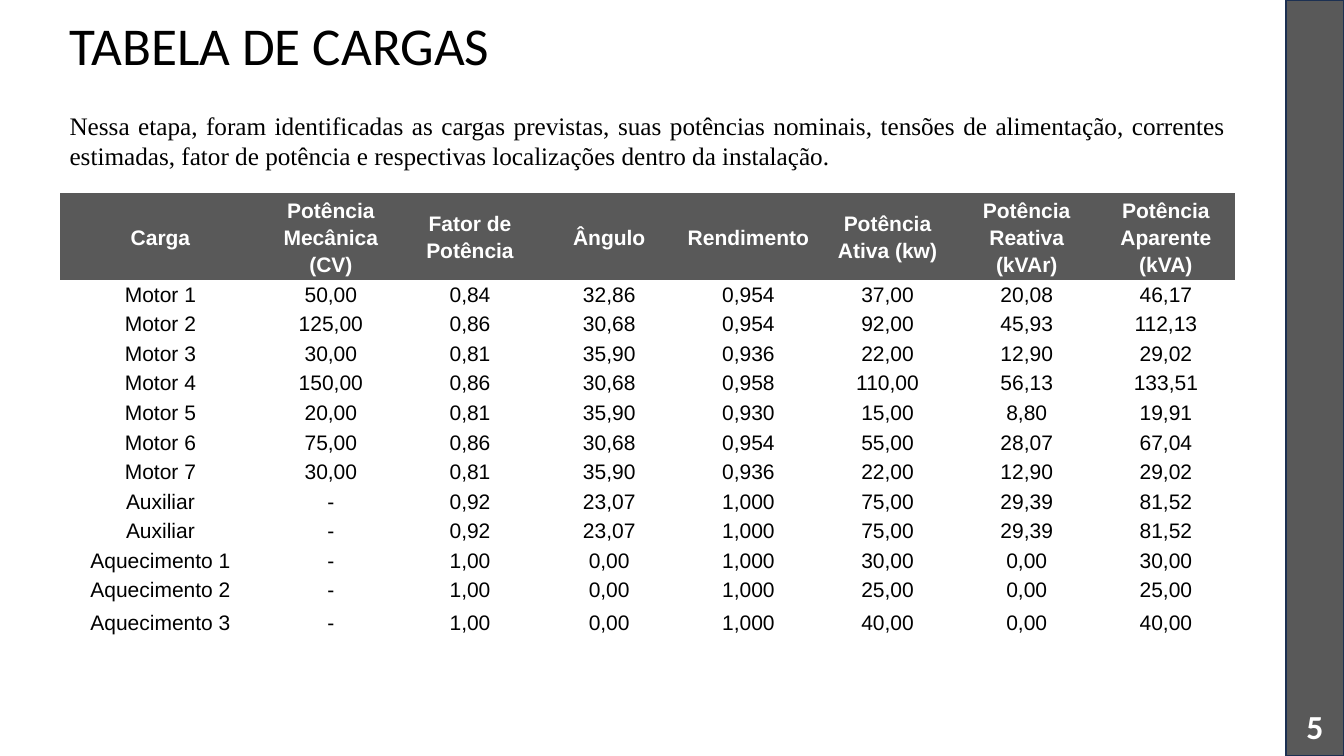
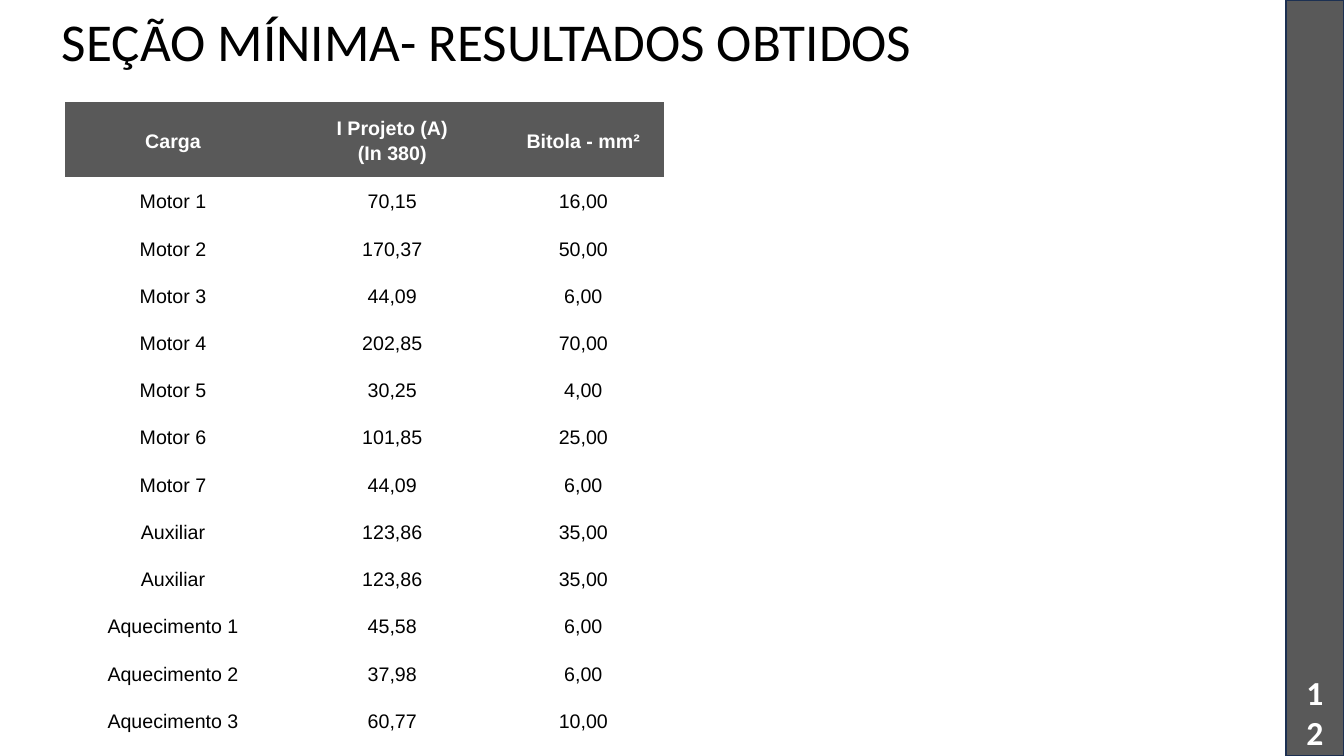
import pptx
import pptx.dml.color
import pptx.enum.shapes
import pptx.enum.text
import pptx.oxml.ns
import pptx.util

# Grid: 160 columns by 90 rows
CELL = pptx.util.Inches(7.5) / 90
COLUMNS, ROWS = 160, 90
BLACK, WHITE, GREY, NAVY = "000000", "FFFFFF", "595959", "1C3052"
NO_STYLE = "{2D5ABB26-0587-4C30-8999-92F81FD0307C}"
ALIGN = pptx.enum.text.PP_ALIGN
ANCHOR = pptx.enum.text.MSO_ANCHOR


def grid(units):
    return pptx.util.Emu(round(units * CELL))


def color(value):
    return pptx.dml.color.RGBColor.from_string(value)


class Deck:
    def __init__(self):
        self.presentation = pptx.Presentation()
        self.presentation.slide_width = grid(COLUMNS)
        self.presentation.slide_height = grid(ROWS)
        self.slide = None

    def add_slide(self, title, left, top, width, number, number_top):
        """Start a slide with its title, side band and page number."""
        self.slide = self.presentation.slides.add_slide(self.presentation.slide_layouts[6])
        self.text(title, left, top, width, 8.4, "Calibri", 38, spacing=0.9)
        self.band()
        self.text(number, 153.5, number_top, 6.1, 7.2, "Calibri", 24, WHITE, bold=True,
                  align=ALIGN.CENTER, anchor=ANCHOR.MIDDLE)

    def band(self):
        shape = self.slide.shapes.add_shape(pptx.enum.shapes.MSO_SHAPE.RECTANGLE,
                                            grid(153.1), 0, grid(6.9), grid(ROWS))
        shape.shadow.inherit = False
        shape.fill.solid()
        shape.fill.fore_color.rgb = color(GREY)
        shape.line.color.rgb = color(NAVY)
        shape.line.width = pptx.util.Pt(1)

    def style(self, paragraph, font, size, ink, bold, align, spacing):
        paragraph.alignment = align
        paragraph.line_spacing = spacing
        paragraph.font.name = font
        paragraph.font.size = pptx.util.Pt(size)
        paragraph.font.bold = bold
        paragraph.font.color.rgb = color(ink)

    def text(self, words, left, top, width, height, font, size, ink=BLACK, bold=False,
             align=ALIGN.LEFT, anchor=ANCHOR.TOP, spacing=1.0, inset=0.6):
        shape = self.slide.shapes.add_textbox(grid(left), grid(top), grid(width), grid(height))
        frame = shape.text_frame
        frame.word_wrap = True
        frame.vertical_anchor = anchor
        frame.margin_left = frame.margin_right = grid(1.2)
        frame.margin_top = frame.margin_bottom = grid(inset)
        frame.text = words
        self.style(frame.paragraphs[0], font, size, ink, bold, align, spacing)

    def table(self, rows, left, top, widths, heights, size, side, inset, body_anchor):
        """Add a table with a grey header row and a plain body."""
        frame = self.slide.shapes.add_table(len(rows), len(widths), grid(left), grid(top),
                                            grid(sum(widths)), grid(sum(heights)))
        table = frame.table
        table.horz_banding = False
        table._tbl.tblPr.find(pptx.oxml.ns.qn("a:tableStyleId")).text = NO_STYLE
        for column, width in zip(table.columns, widths):
            column.width = grid(width)
        for index, (row, height, values) in enumerate(zip(table.rows, heights, rows)):
            row.height = grid(height)
            header = index == 0
            for cell, value in zip(row.cells, values):
                cell.text = value
                cell.margin_left = cell.margin_right = grid(side)
                cell.margin_top = cell.margin_bottom = grid(inset)
                cell.vertical_anchor = ANCHOR.MIDDLE if header else body_anchor
                if header:
                    cell.fill.solid()
                    cell.fill.fore_color.rgb = color(GREY)
                else:
                    cell.fill.background()
                for paragraph in cell.text_frame.paragraphs:
                    self.style(paragraph, "Arial", size, WHITE if header else BLACK,
                               header, ALIGN.CENTER, 1.15)


LOADS = [f"Motor {number}" for number in range(1, 8)] + ["Auxiliar"] * 2
LOADS += [f"Aquecimento {number}" for number in range(1, 4)]

LOAD_HEADER = ["Carga", "Potência Mecânica (CV)", "Fator de Potência", "Ângulo", "Rendimento",
               "Potência Ativa (kw)", "Potência Reativa (kVAr)", "Potência Aparente (kVA)"]
LOAD_VALUES = [
    "50,00 0,84 32,86 0,954 37,00 20,08 46,17",
    "125,00 0,86 30,68 0,954 92,00 45,93 112,13",
    "30,00 0,81 35,90 0,936 22,00 12,90 29,02",
    "150,00 0,86 30,68 0,958 110,00 56,13 133,51",
    "20,00 0,81 35,90 0,930 15,00 8,80 19,91",
    "75,00 0,86 30,68 0,954 55,00 28,07 67,04",
    "30,00 0,81 35,90 0,936 22,00 12,90 29,02",
    "- 0,92 23,07 1,000 75,00 29,39 81,52",
    "- 0,92 23,07 1,000 75,00 29,39 81,52",
    "- 1,00 0,00 1,000 30,00 0,00 30,00",
    "- 1,00 0,00 1,000 25,00 0,00 25,00",
    "- 1,00 0,00 1,000 40,00 0,00 40,00",
]
GAUGE_HEADER = ["Carga", "I Projeto (A)\n(In 380)", "Bitola - mm²"]
GAUGE_VALUES = ["70,15 16,00", "170,37 50,00", "44,09 6,00", "202,85 70,00", "30,25 4,00",
                "101,85 25,00", "44,09 6,00", "123,86 35,00", "123,86 35,00", "45,58 6,00",
                "37,98 6,00", "60,77 10,00"]


def table_rows(header, values):
    return [header] + [[load, *line.split()] for load, line in zip(LOADS, values)]


def main():
    deck = Deck()

    # Load table
    deck.add_slide("TABELA DE CARGAS", 7.1, 1.8, 82.4, "5", 82.8)
    table_width, name_width = 140, 24
    value_width = (table_width - name_width) / 7
    deck.table(table_rows(LOAD_HEADER, LOAD_VALUES), 7.1, 22.95,
               [name_width] + [value_width] * 7, [9.5] + [3.52] * 10 + [3.84] * 2,
               15, 0.84, 0, ANCHOR.TOP)
    deck.text("Nessa etapa, foram identificadas as cargas previstas, suas potências nominais, "
              "tensões de alimentação, correntes estimadas, fator de potência e respectivas "
              "localizações dentro da instalação.",
              7.1, 11.9, table_width, 11, "Times New Roman", 18, align=ALIGN.JUSTIFY, inset=1.2)

    # Minimum cable section
    deck.add_slide("SEÇÃO MÍNIMA- RESULTADOS OBTIDOS", 6.2, 1.3, 133.8, "12", 81.2)
    deck.table(table_rows(GAUGE_HEADER, GAUGE_VALUES), 7.7, 12.2, [25.8, 26.4, 19.1],
               [8.4] + [5.4] * 12, 14, 0.36, 1.2, ANCHOR.MIDDLE)

    deck.presentation.save("out.pptx")


if __name__ == "__main__":
    main()
